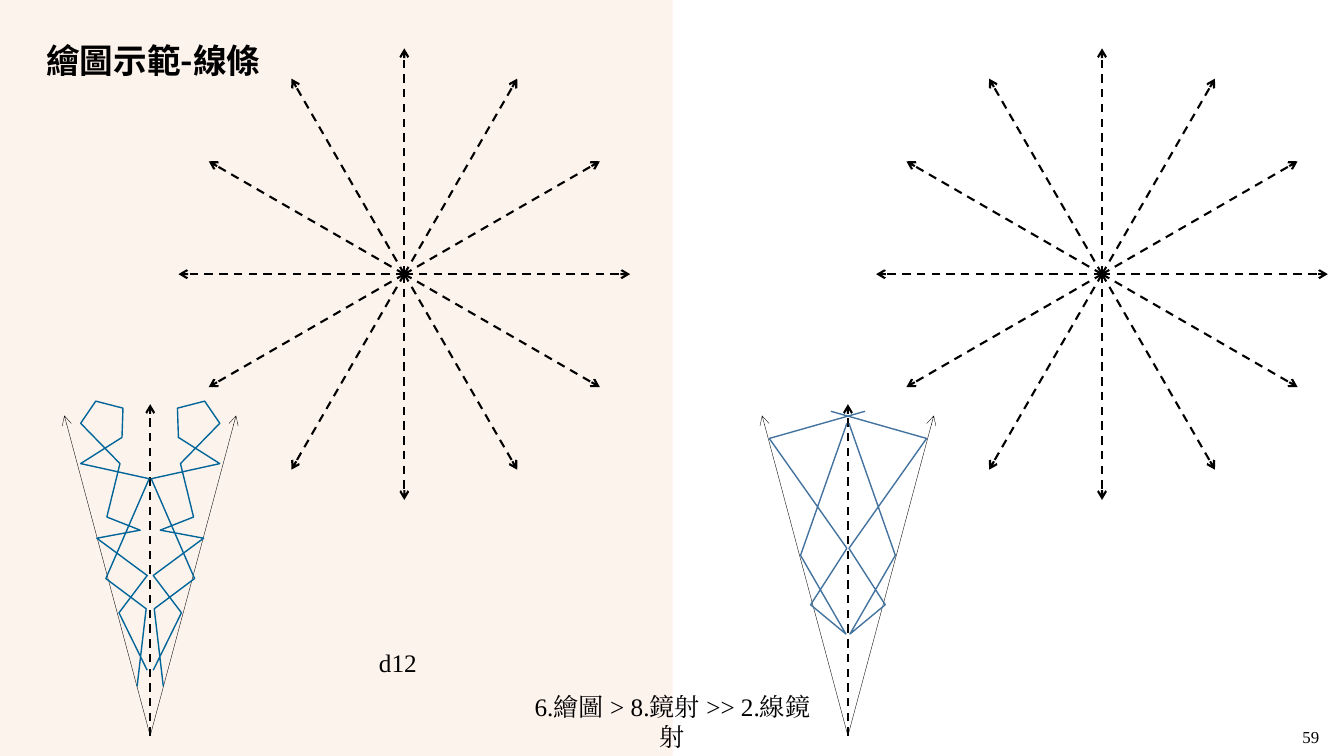
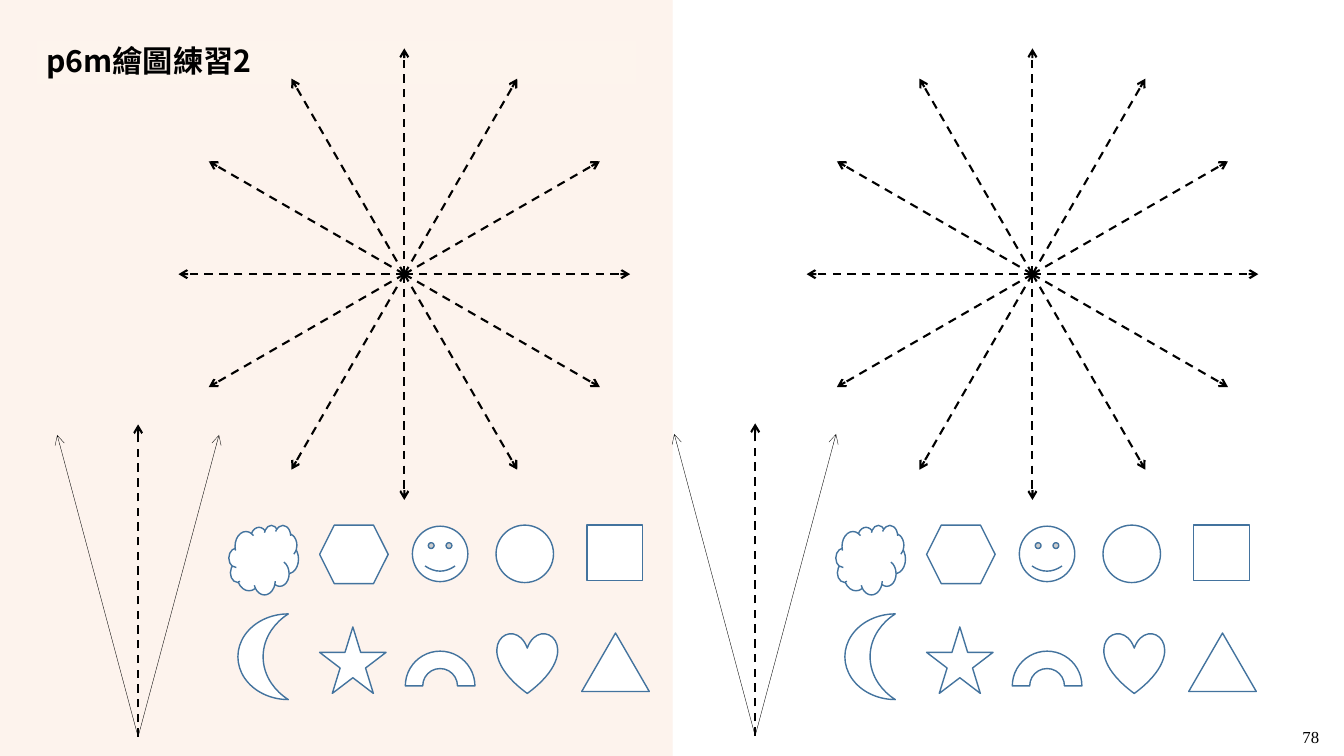
import dataclasses
import math
import typing

import lxml.etree
import pptx
import pptx.dml.color
import pptx.enum.dml
import pptx.enum.shapes
import pptx.enum.text
import pptx.oxml.ns
import pptx.slide
import pptx.util

Inches = pptx.util.Inches
Pt = pptx.util.Pt
Preset = pptx.enum.shapes.MSO_SHAPE
Align = pptx.enum.text.PP_ALIGN
Anchor = pptx.enum.text.MSO_ANCHOR
qn = pptx.oxml.ns.qn

BLACK, WHITE = "000000", "FFFFFF"
PEACH, PALE_PEACH, TITLE_BAND = "F4B183", "FBE5D6", "FDF4ED"
TEAL, STEEL = "006699", "43739E"
SANS, SERIF = "Noto Sans CJK SC", "Times New Roman"
WIDTH, HEIGHT, MIDDLE = 13.33, 7.5, 6.67
STAR_Y, STAR_RADIUS, STAR_ARMS = 2.72, 2.24, 12
FAN_HALF_ANGLE = 15
STAMP_SHIFT = 6.02


class Point(typing.NamedTuple):
    x: float
    y: float


class Box(typing.NamedTuple):
    left: float
    top: float
    width: float
    height: float


@dataclasses.dataclass(frozen=True)
class Stroke:
    color: str
    width: float
    dashed: bool = False
    arrow: bool = False
    opacity: int = 100


@dataclasses.dataclass(frozen=True)
class TextStyle:
    size: float
    font: str = SERIF
    bold: bool = False
    align: Align = Align.LEFT
    spacing: float = 1.0


@dataclasses.dataclass(frozen=True)
class Stamp:
    preset: Preset
    box: Box


@dataclasses.dataclass(frozen=True)
class Fan:
    origin: Point
    length: float


@dataclasses.dataclass(frozen=True)
class Motif:
    axis: float
    color: str
    points: list[Point]


AXIS_ARROW = Stroke(BLACK, 1.5, dashed=True, arrow=True)
EDGE_ARROW = Stroke(BLACK, 0.25, arrow=True)
DIVIDER = Stroke(PALE_PEACH, 0.25, opacity=50)
STAMP_OUTLINE = Stroke(STEEL, 1)
TITLE_BOX = Box(0.36, 0.4, 5.95, 0.44)
PAGE_BOX = Box(12.82, 7.16, 0.37, 0.3)

STAMPS = [
    Stamp(Preset.CLOUD, Box(2.27, 5.21, 0.69, 0.69)),
    Stamp(Preset.HEXAGON, Box(3.17, 5.21, 0.68, 0.58)),
    Stamp(Preset.SMILEY_FACE, Box(4.09, 5.22, 0.55, 0.55)),
    Stamp(Preset.OVAL, Box(4.92, 5.21, 0.57, 0.57)),
    Stamp(Preset.RECTANGLE, Box(5.82, 5.21, 0.55, 0.55)),
    Stamp(Preset.MOON, Box(2.36, 6.09, 0.5, 0.85)),
    Stamp(Preset.STAR_5_POINT, Box(3.17, 6.22, 0.66, 0.66)),
    Stamp(Preset.BLOCK_ARC, Box(4.02, 6.46, 0.69, 0.69)),
    Stamp(Preset.HEART, Box(4.93, 6.28, 0.6, 0.6)),
    Stamp(Preset.ISOSCELES_TRIANGLE, Box(5.77, 6.28, 0.67, 0.58)),
]

FIGURE = Motif(1.49, TEAL, [
    Point(1.36, 6.81), Point(1.45, 6.04), Point(1.05, 5.74), Point(1.48, 4.75),
    Point(0.8, 4.6), Point(1.21, 4.34), Point(1.22, 4.05), Point(0.95, 3.98),
    Point(0.8, 4.2), Point(1.19, 4.6), Point(1.06, 5.13), Point(1.39, 5.26),
    Point(0.96, 5.34), Point(1.46, 5.71), Point(1.18, 6.08), Point(1.46, 6.65),
])
LATTICE = Motif(8.41, STEEL, [
    Point(8.4, 4.2), Point(7.94, 5.51), Point(8.39, 6.29), Point(8.04, 6),
    Point(8.4, 5.44), Point(7.63, 4.35), Point(8.58, 4.08),
])


def rgb(color: str) -> pptx.dml.color.RGBColor:
    return pptx.dml.color.RGBColor.from_string(color)


def emu(lengths: typing.Iterable[float]) -> list[int]:
    return [Inches(length) for length in lengths]


def set_opacity(element, percent: int) -> None:
    if percent < 100:
        for color in element.iter(qn("a:srgbClr")):
            lxml.etree.SubElement(color, qn("a:alpha"), val=str(percent * 1000))


def apply_stroke(line, stroke: Stroke) -> None:
    line.color.rgb = rgb(stroke.color)
    line.width = Pt(stroke.width)
    if stroke.dashed:
        line.dash_style = pptx.enum.dml.MSO_LINE.DASH


def add_line(slide: pptx.slide.Slide, start: Point, end: Point, stroke: Stroke) -> None:
    connector = slide.shapes.add_connector(
        pptx.enum.shapes.MSO_CONNECTOR.STRAIGHT, *emu(start), *emu(end))
    apply_stroke(connector.line, stroke)
    properties = connector._element.spPr
    outline = properties.find(qn("a:ln"))
    set_opacity(outline, stroke.opacity)
    if stroke.arrow:
        lxml.etree.SubElement(outline, qn("a:tailEnd"), type="arrow")
    lxml.etree.SubElement(properties, qn("a:effectLst"))


def add_preset(slide: pptx.slide.Slide, preset: Preset, box: Box, fill: str | None = None,
               stroke: Stroke | None = None, opacity: int = 100):
    shape = slide.shapes.add_shape(preset, *emu(box))
    shape.shadow.inherit = False
    if fill:
        shape.fill.solid()
        shape.fill.fore_color.rgb = rgb(fill)
        set_opacity(shape._element.spPr, opacity)
    else:
        shape.fill.background()
    if stroke:
        apply_stroke(shape.line, stroke)
    else:
        shape.line.fill.background()
    return shape


def write(frame, text: str, style: TextStyle) -> None:
    paragraph = frame.paragraphs[0]
    paragraph.alignment = style.align
    paragraph.line_spacing = style.spacing
    run = paragraph.add_run()
    run.text = text
    run.font.size = Pt(style.size)
    run.font.name = style.font
    run.font.bold = style.bold
    run.font.color.rgb = rgb(BLACK)
    lxml.etree.SubElement(run.font._element, qn("a:ea"), typeface=style.font)


def add_label(slide: pptx.slide.Slide, box: Box, text: str, style: TextStyle) -> None:
    label = slide.shapes.add_textbox(*emu(box))
    label.text_frame.word_wrap = False
    write(label.text_frame, text, style)


def add_base(deck, title: str, title_size: float, page: str,
             title_fill: str | None = None) -> pptx.slide.Slide:
    slide = deck.slides.add_slide(deck.slide_layouts[6])
    add_preset(slide, Preset.RECTANGLE, Box(0, 0, MIDDLE, HEIGHT), PEACH, opacity=14)
    add_line(slide, Point(MIDDLE, HEIGHT), Point(MIDDLE, 0), DIVIDER)
    heading = add_preset(slide, Preset.RECTANGLE, TITLE_BOX, title_fill)
    heading.text_frame.word_wrap = True
    heading.text_frame.vertical_anchor = Anchor.MIDDLE
    write(heading.text_frame, title, TextStyle(title_size, SANS, bold=True, spacing=0.9))
    add_label(slide, PAGE_BOX, page, TextStyle(12))
    return slide


def polar(center: Point, radius: float, degrees: float) -> Point:
    angle = math.radians(degrees)
    return Point(center.x + radius * math.cos(angle), center.y - radius * math.sin(angle))


def add_star(slide: pptx.slide.Slide, x: float) -> None:
    center = Point(x, STAR_Y)
    for arm in range(STAR_ARMS):
        add_line(slide, center, polar(center, STAR_RADIUS, arm * 360 / STAR_ARMS), AXIS_ARROW)


def add_fan(slide: pptx.slide.Slide, fan: Fan) -> None:
    for turn, stroke in ((-FAN_HALF_ANGLE, EDGE_ARROW), (0, AXIS_ARROW),
                         (FAN_HALF_ANGLE, EDGE_ARROW)):
        add_line(slide, fan.origin, polar(fan.origin, fan.length, 90 + turn), stroke)


def add_outline(slide: pptx.slide.Slide, points: list[Point], color: str) -> None:
    start, *rest = [tuple(emu(point)) for point in points]
    builder = slide.shapes.build_freeform(*start)
    builder.add_line_segments(rest, close=False)
    outline = builder.convert_to_shape()
    outline.shadow.inherit = False
    outline.fill.background()
    apply_stroke(outline.line, Stroke(color, 1))


def add_mirrored(slide: pptx.slide.Slide, motif: Motif) -> None:
    reflection = [Point(2 * motif.axis - x, y) for x, y in motif.points]
    for points in (motif.points, reflection):
        add_outline(slide, points, motif.color)


def build_demo(deck) -> None:
    slide = add_base(deck, "繪圖示範-線條", 24, "59")
    for x in (4.01, 10.93):
        add_star(slide, x)
    for motif in (FIGURE, LATTICE):
        add_fan(slide, Fan(Point(motif.axis, 7.3), 3.29))
        add_mirrored(slide, motif)
    add_label(slide, Box(3.66, 6.37, 0.58, 0.4), "d12", TextStyle(18))
    steps = add_preset(slide, Preset.ROUNDED_RECTANGLE, Box(4.99, 6.93, 3.36, 0.45))
    frame = steps.text_frame
    frame.word_wrap = True
    frame.vertical_anchor = Anchor.MIDDLE
    frame.margin_left = frame.margin_right = Inches(0.2)
    write(frame, "6.繪圖 > 8.鏡射 >> 2.線鏡射", TextStyle(18, align=Align.CENTER))


def build_practice(deck) -> None:
    slide = add_base(deck, "p6m繪圖練習2", 21.6, "78", TITLE_BAND)
    for x in (4.01, 10.24):
        add_star(slide, x)
    for origin in (Point(1.37, 7.31), Point(7.49, 7.3)):
        add_fan(slide, Fan(origin, 3.1))
    for shift in (0, STAMP_SHIFT):
        for stamp in STAMPS:
            box = stamp.box._replace(left=stamp.box.left + shift)
            add_preset(slide, stamp.preset, box, WHITE, STAMP_OUTLINE)


def main() -> None:
    deck = pptx.Presentation()
    deck.slide_width = Inches(WIDTH)
    deck.slide_height = Inches(HEIGHT)
    build_demo(deck)
    build_practice(deck)
    deck.save("out.pptx")


if __name__ == "__main__":
    main()
